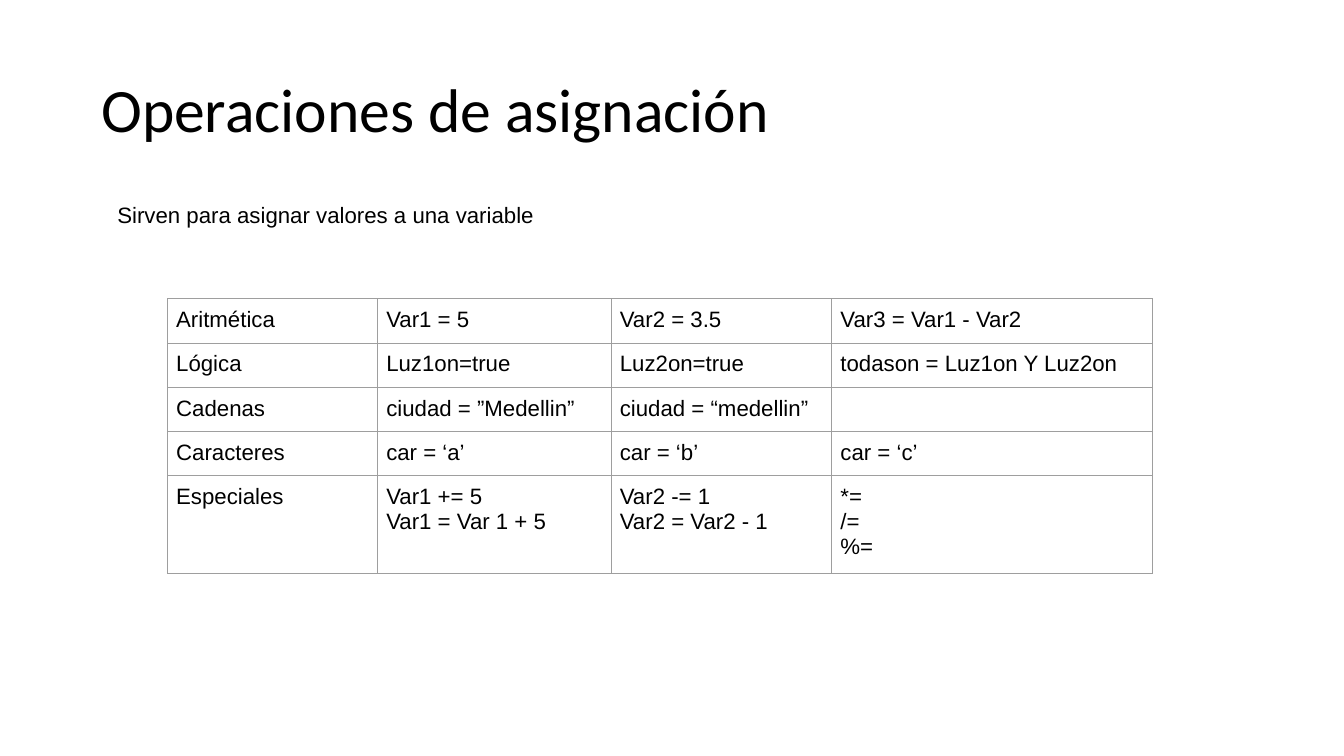
from dataclasses import dataclass

from lxml import etree
from pptx import Presentation
from pptx.dml.color import RGBColor
from pptx.enum.text import MSO_ANCHOR, MSO_AUTO_SIZE, PP_ALIGN
from pptx.oxml.ns import qn
from pptx.util import Cm, Pt

MIDDLE, TOP = MSO_ANCHOR.MIDDLE, MSO_ANCHOR.TOP
LEFT = PP_ALIGN.LEFT
NO_AUTOFIT = MSO_AUTO_SIZE.NONE


@dataclass(frozen=True)
class Theme:
    ink: str = "000000"
    border: str = "9E9E9E"
    title_font: str = "Calibri"
    body_font: str = "Arial"
    title_size: float = 49.9
    body_size: float = 18


THEME = Theme()
MARGINS = dict.fromkeys(
    ("margin_left", "margin_top", "margin_right", "margin_bottom"), Cm(0.25))


def style_text(frame, font_name, size):
    for paragraph in frame.paragraphs:
        paragraph.alignment = LEFT
        font = paragraph.font
        font.name, font.size = font_name, Pt(size)
        font.color.rgb = RGBColor.from_string(THEME.ink)


def add_borders(cell):
    properties = cell._tc.get_or_add_tcPr()
    for index, side in enumerate(("a:lnL", "a:lnR", "a:lnT", "a:lnB")):
        line = etree.Element(qn(side), w=str(Pt(0.75)))
        fill = etree.SubElement(line, qn("a:solidFill"))
        etree.SubElement(fill, qn("a:srgbClr"), val=THEME.border)
        properties.insert(index, line)


prs = Presentation()
prs.slide_width, prs.slide_height = Cm(38.38), Cm(21.59)
slide = prs.slides.add_slide(prs.slide_layouts[5])

# Title
title = slide.shapes.title
title.left, title.top, title.width, title.height = Cm(2.64), Cm(1.14), Cm(29.44), Cm(4.17)
title.text_frame.text = "Operaciones de asignación"
title_format = {**MARGINS, "margin_top": Cm(0.13), "margin_bottom": Cm(0.13),
                "vertical_anchor": MIDDLE, "word_wrap": True, "auto_size": NO_AUTOFIT}
for name, value in title_format.items():
    setattr(title.text_frame, name, value)
style_text(title.text_frame, THEME.title_font, THEME.title_size)
title.text_frame.paragraphs[0].line_spacing = 0.9

# Definition
definition = slide.shapes.add_textbox(Cm(3.1), Cm(5.51), Cm(17.07), Cm(0.99)).text_frame
definition.text = "Sirven para asignar valores a una variable"
for name, value in {**MARGINS, "vertical_anchor": TOP, "word_wrap": True}.items():
    setattr(definition, name, value)
style_text(definition, THEME.body_font, THEME.body_size)

# Assignment examples by kind of operation
examples = [
    ("Aritmética", "Var1 = 5", "Var2 = 3.5", "Var3 = Var1 - Var2"),
    ("Lógica", "Luz1on=true", "Luz2on=true", "todason = Luz1on Y Luz2on"),
    ("Cadenas", "ciudad = ”Medellin”", "ciudad = “medellin”", ""),
    ("Caracteres", "car = ‘a’", "car = ‘b’", "car = ‘c’"),
    ("Especiales", "Var1 += 5\nVar1 = Var 1 + 5", "Var2 -= 1\nVar2 = Var2 - 1", "*=\n/=\n%="),
]
column_widths = [Cm(6), Cm(6.67), Cm(6.3), Cm(9.17)]
row_heights = [Cm(1.22)] * 4 + [Cm(2.63)]
operations = slide.shapes.add_table(
    len(examples), len(column_widths), Cm(4.78), Cm(8.53),
    sum(column_widths), sum(row_heights)).table
operations.first_row = operations.horz_banding = False
for column, width in zip(operations.columns, column_widths):
    column.width = width
for row, height, texts in zip(operations.rows, row_heights, examples):
    row.height = height
    for cell, text in zip(row.cells, texts):
        cell.text = text
        for name, value in {**MARGINS, "vertical_anchor": TOP}.items():
            setattr(cell, name, value)
        cell.fill.background()
        add_borders(cell)
        style_text(cell.text_frame, THEME.body_font, THEME.body_size)

prs.save("out.pptx")
